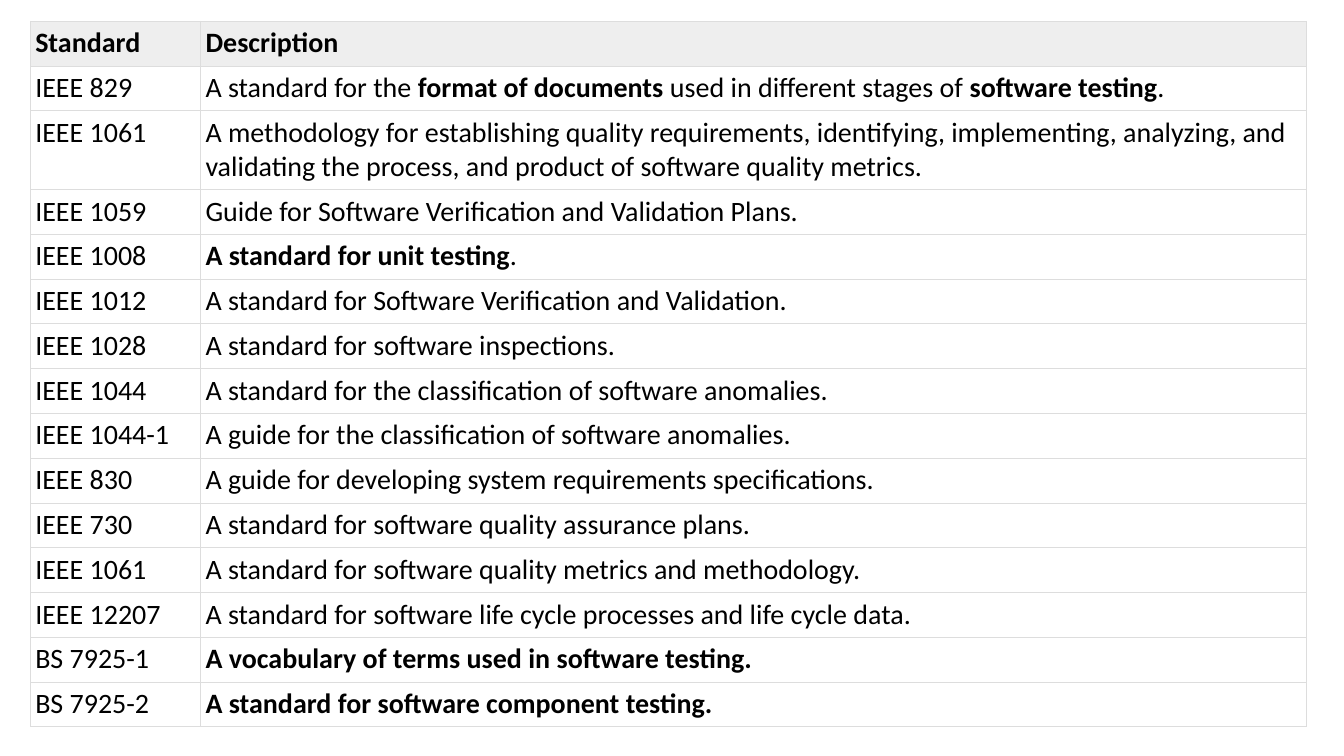
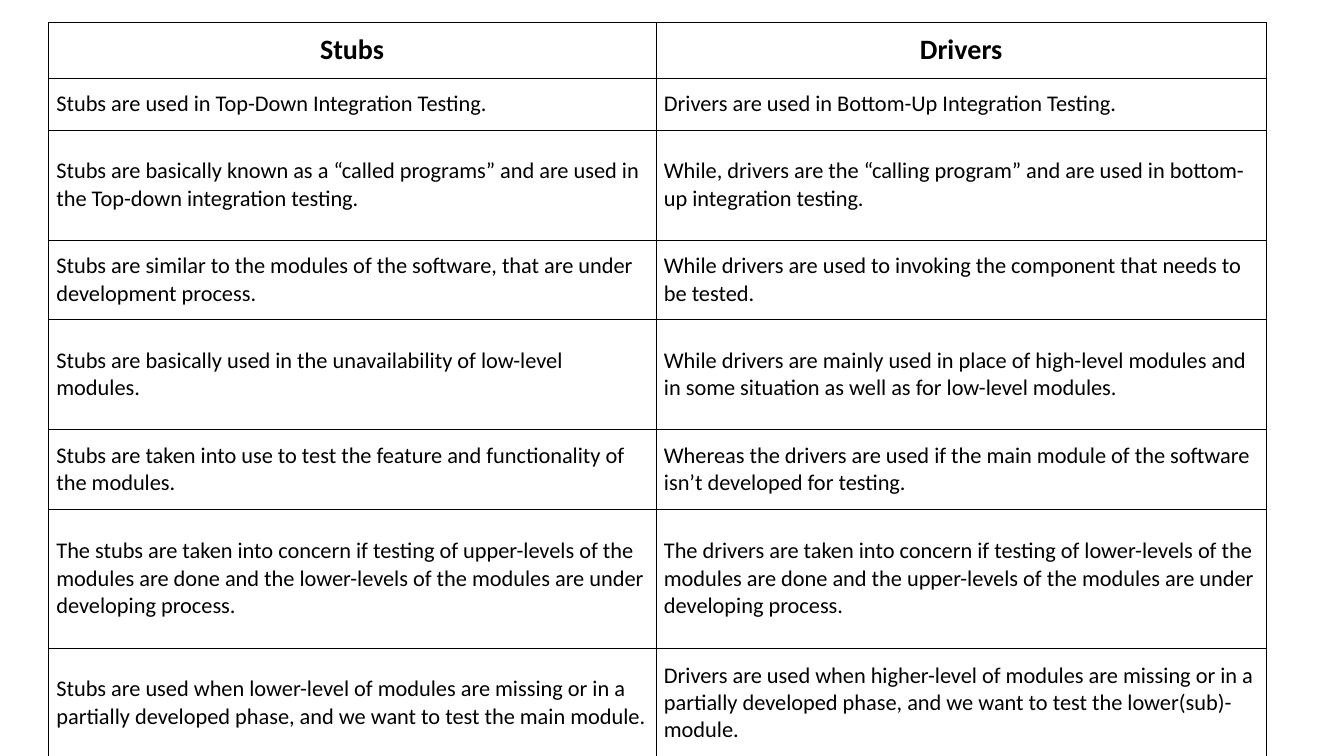
from lxml.etree import SubElement
from pptx import Presentation
from pptx.dml.color import RGBColor
from pptx.enum.text import MSO_ANCHOR as Anchor, PP_ALIGN as Align
from pptx.oxml.ns import qn
from pptx.util import Inches, Pt

NORMS = [
    ("Standard", "Description"),
    ("IEEE 829", "A standard for the *format of documents *used in different stages of *software testing*."),
    ("IEEE 1061", "A methodology for establishing quality requirements, identifying, implementing, "
                  "analyzing, and validating the process, and product of software quality metrics."),
    ("IEEE 1059", "Guide for Software Verification and Validation Plans."),
    ("IEEE 1008", "*A standard for unit testing*."),
    ("IEEE 1012", "A standard for Software Verification and Validation."),
    ("IEEE 1028", "A standard for software inspections."),
    ("IEEE 1044", "A standard for the classification of software anomalies."),
    ("IEEE 1044-1", "A guide for the classification of software anomalies."),
    ("IEEE 830", "A guide for developing system requirements specifications."),
    ("IEEE 730", "A standard for software quality assurance plans."),
    ("IEEE 1061", "A standard for software quality metrics and methodology."),
    ("IEEE 12207", "A standard for software life cycle processes and life cycle data."),
    ("BS 7925-1", "*A vocabulary of terms used in software testing.*"),
    ("BS 7925-2", "*A standard for software component testing.*"),
]

ROLES = [
    ("Stubs", "Drivers"),
    ("Stubs are used in Top-Down Integration Testing.",
     "Drivers are used in Bottom-Up Integration Testing."),
    ("Stubs are basically known as a “called programs” and are used in the Top-down integration testing.",
     "While, drivers are the “calling program” and are used in bottom-up integration testing."),
    ("Stubs are similar to the modules of the software, that are under development process.",
     "While drivers are used to invoking the component that needs to be tested."),
    ("Stubs are basically used in the unavailability of low-level modules.",
     "While drivers are mainly used in place of high-level modules and in some situation "
     "as well as for low-level modules."),
    ("Stubs are taken into use to test the feature and functionality of the modules.",
     "Whereas the drivers are used if the main module of the software isn’t developed for testing."),
    ("The stubs are taken into concern if testing of upper-levels of the modules are done "
     "and the lower-levels of the modules are under developing process.",
     "The drivers are taken into concern if testing of lower-levels of the modules are done "
     "and the upper-levels of the modules are under developing process."),
    ("Stubs are used when lower-level of modules are missing or in a partially developed phase, "
     "and we want to test the main module.",
     "Drivers are used when higher-level of modules are missing or in a partially developed phase, "
     "and we want to test the lower(sub)- module."),
]


def color(text):
    return RGBColor.from_string(text)


class Deck:
    face = "Calibri"
    ink = "000000"
    head_size = 20

    def __init__(self):
        self.show = Presentation()
        self.show.slide_width = Inches(13.34)
        self.show.slide_height = Inches(7.5)

    def page(self):
        self.slide = self.show.slides.add_slide(self.show.slide_layouts[6])

    def edge(self, cell, tone, width):
        props = cell._tc.get_or_add_tcPr()
        for spot, side in enumerate(("a:lnL", "a:lnR", "a:lnT", "a:lnB")):
            line = SubElement(props, qn(side), w=str(Pt(width)))
            fill = SubElement(line, qn("a:solidFill"))
            SubElement(fill, qn("a:srgbClr"), val=tone)
            props.insert(spot, line)

    def label(self, cell, text, size, head, align):
        para = cell.text_frame.paragraphs[0]
        para.alignment = align
        for turn, part in enumerate(text.split("*")):
            if part:
                run = para.add_run()
                run.text = part
                font = run.font
                font.name, font.size = self.face, Pt(size)
                font.bold = head or turn % 2 == 1
                font.color.rgb = color(self.ink)

    def table(self, data, left, top, cols, rows, tone, width, pad, size,
              anchor=Anchor.TOP, align=Align.LEFT, band=None, fill=None):
        frame = self.slide.shapes.add_table(
            len(rows), len(cols), Inches(left), Inches(top), Inches(sum(cols)), Inches(sum(rows)))
        grid = frame.table
        grid.horz_banding = False
        for col, span in zip(grid.columns, cols):
            col.width = Inches(span)
        for num, (row, texts) in enumerate(zip(grid.rows, data)):
            row.height = Inches(rows[num])
            head = num == 0
            for cell, text in zip(row.cells, texts):
                cell.margin_left = cell.margin_right = Inches(pad)
                cell.margin_top = cell.margin_bottom = Inches(0.05)
                cell.vertical_anchor = anchor
                back = band if head else fill
                if back:
                    cell.fill.solid()
                    cell.fill.fore_color.rgb = color(back)
                else:
                    cell.fill.background()
                self.edge(cell, tone, width)
                self.label(cell, text, self.head_size if head else size, head,
                           align if head else Align.LEFT)


def main():
    deck = Deck()

    deck.page()
    tall = 0.78
    rows = [(7 - tall) / (len(NORMS) - 1)] * len(NORMS)
    rows[2] = tall
    deck.table(NORMS, 0.3, 0.21, [1.69, 10.98], rows, "DDDDDD", 0.34, 0.05, 20, band="EEEEEE")

    deck.page()
    rows = [0.56, 0.51, 1.09, 0.79, 1.09, 0.79, 1.38, 1.09]
    deck.table(ROLES, 0.48, 0.22, [6.03, 6.06], rows, "000000", 0.45, 0.08, 16,
               Anchor.MIDDLE, Align.CENTER, "FFFFFF", "FFFFFF")

    deck.show.save("out.pptx")


if __name__ == "__main__":
    main()
